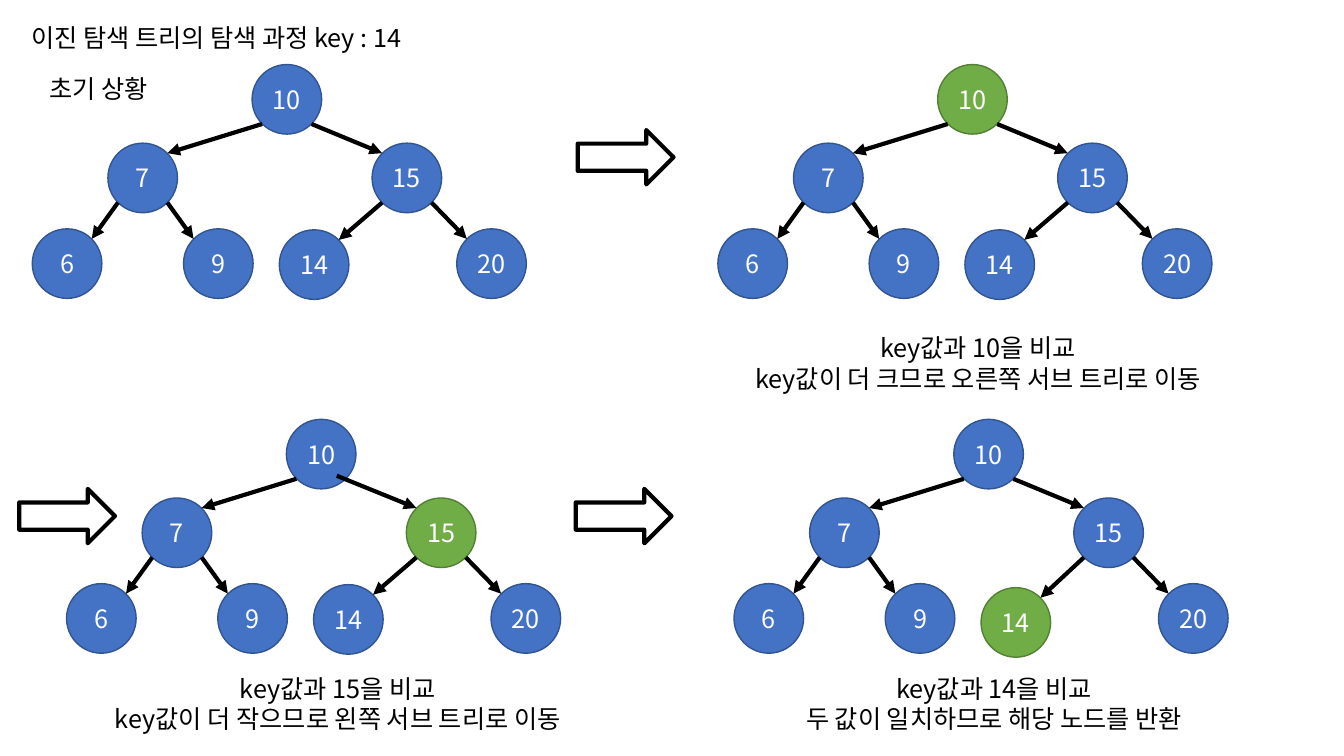
from lxml import etree
from pptx import Presentation
from pptx import util as u
from pptx.dml.color import RGBColor
from pptx.enum import shapes, text
from pptx.oxml import ns

FONT = "Noto Sans CJK KR"
COLOURS = {"black": "000000", "white": "FFFFFF",
           "node": "4472C4", "node edge": "325491",
           "visited": "70AD47", "visited edge": "538035"}


def colour(name):
    return RGBColor.from_string(COLOURS[name])


def write(shape, words, ink, align, anchor):
    frame = shape.text_frame
    frame.text = words
    frame.word_wrap = False
    frame.vertical_anchor = anchor
    for para in frame.paragraphs:
        para.alignment = align
        for span in para.runs:
            span.font.size = u.Pt(18)
            span.font.color.rgb = colour(ink)
            span.font.name = FONT
            etree.SubElement(span.font._element, ns.qn("a:ea"), typeface=FONT)


deck = Presentation()
deck.slide_width, deck.slide_height = u.Inches(13.33), u.Inches(7.5)
page = deck.slides.add_slide(deck.slide_layouts[5])

# Title
title = page.shapes.title
title.left, title.top, title.width, title.height = map(u.Inches, (0.21, 0.17, 4.32, 0.4))
write(title, "이진 탐색 트리의 탐색 과정 key : 14", "black",
      text.PP_ALIGN.LEFT, text.MSO_ANCHOR.TOP)

# Tree layout: node offsets from the tree's corner, and parent-child pairs
SIZE = 0.69
INSET = 0.1  # from the corner of a node's box to its circle
ROWS = (0, 0.78, 1.63)
NODES = {10: (2.18, ROWS[0]), 7: (0.75, ROWS[1]), 15: (3.37, ROWS[1]),
         6: (0, ROWS[2]), 9: (1.5, ROWS[2]), 14: (2.45, ROWS[2] + 0.01),
         20: (4.21, ROWS[2])}
EDGES = ((10, 7), (7, 6), (7, 9), (15, 14), (15, 20), (10, 15))
TOPS = (0.64, 4.16)

# Each search step: corner of the tree, visited key
STEPS = ((0.32, TOPS[0], None), (7.12, TOPS[0], 10),
         (0.66, TOPS[1], 15), (7.28, TOPS[1], 14))

for left, top, visited in STEPS:
    places = {key: (left + x, top + y) for key, (x, y) in NODES.items()}
    if visited == 14:
        places[14] = (places[14][0], places[14][1] + 0.03)

    # Nodes
    for key, (x, y) in places.items():
        node = page.shapes.add_shape(shapes.MSO_SHAPE.FLOWCHART_CONNECTOR,
                                     *map(u.Inches, (x, y, SIZE, SIZE)))
        style = "visited" if key == visited else "node"
        node.shadow.inherit = False
        node.fill.solid()
        node.fill.fore_color.rgb = colour(style)
        node.line.color.rgb = colour(style + " edge")
        node.line.width = u.Pt(1)
        write(node, str(key), "white", text.PP_ALIGN.CENTER, text.MSO_ANCHOR.MIDDLE)

    # Edges run from a parent's lower corner to a child's upper corner
    for parent, child in EDGES:
        (px, py), (cx, cy) = places[parent], places[child]
        near, far = INSET, SIZE - INSET
        start, end = (near, far) if child < parent else (far, near)
        x1, y1 = px + start, py + far
        if (visited, parent, child) == (15, 10, 15):
            x1, y1 = x1 - 0.09, y1 - 0.03
        edge = page.shapes.add_connector(
            shapes.MSO_CONNECTOR.STRAIGHT,
            *map(u.Inches, (x1, y1, cx + end, cy + near)))
        edge.line.color.rgb = colour("black")
        edge.line.width = u.Pt(3)
        etree.SubElement(edge.line._get_or_add_ln(), ns.qn("a:tailEnd"), type="triangle")
        etree.SubElement(edge._element.spPr, ns.qn("a:effectLst"))

# Arrows between the steps
for left, top in ((5.73, 1.29), (0.19, 4.85), (5.71, 4.85)):
    arrow = page.shapes.add_shape(shapes.MSO_SHAPE.RIGHT_ARROW,
                                  *map(u.Inches, (left, top, 0.95, 0.54)))
    arrow.shadow.inherit = False
    arrow.fill.background()
    arrow.line.color.rgb = colour("black")
    arrow.line.width = u.Pt(3)

# Captions
CAPTIONS = (
    (0.39, 0.68, 1.3, 0.4, text.PP_ALIGN.LEFT, "초기 상황"),
    (7.12, 3.25, 5.16, 0.71, text.PP_ALIGN.CENTER,
     "key값과 10을 비교\nkey값이 더 크므로 오른쪽 서브 트리로 이동"),
    (0.77, 6.63, 5.16, 0.71, text.PP_ALIGN.CENTER,
     "key값과 15을 비교\nkey값이 더 작으므로 왼쪽 서브 트리로 이동"),
    (7.64, 6.63, 4.44, 0.71, text.PP_ALIGN.CENTER,
     "key값과 14을 비교\n두 값이 일치하므로 해당 노드를 반환"),
)
for *area, align, words in CAPTIONS:
    box = page.shapes.add_textbox(*map(u.Inches, area))
    write(box, words, "black", align, text.MSO_ANCHOR.TOP)

deck.save("out.pptx")
